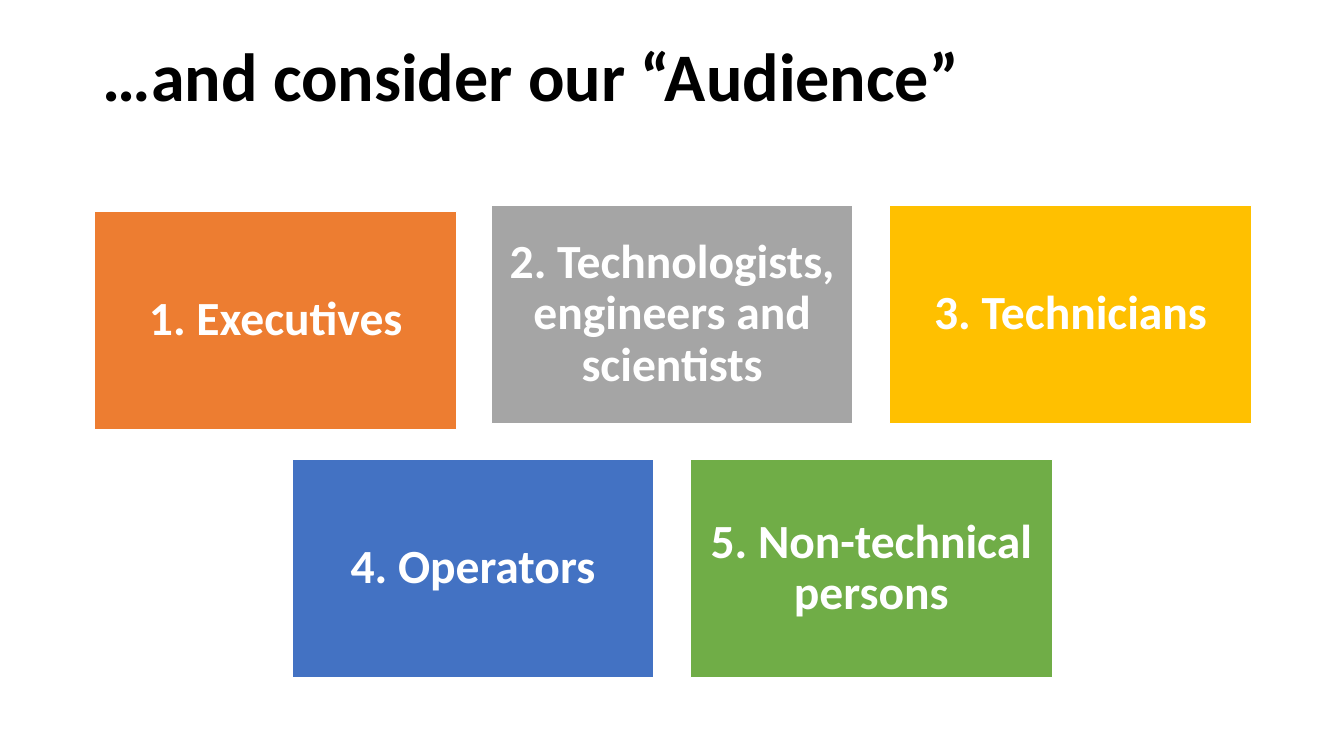
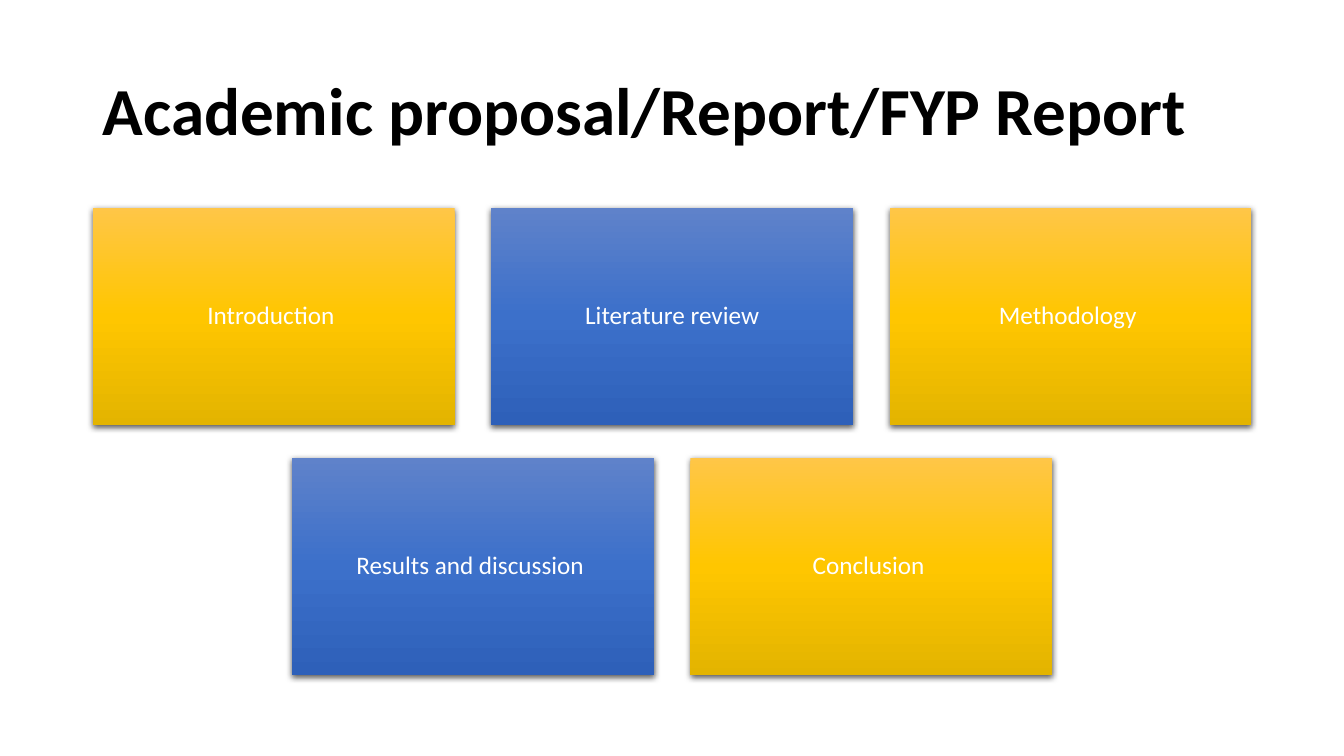
"""Build two slides, each with a title above five tiles."""
from copy import deepcopy

from lxml import etree
from pptx import Presentation
from pptx import util as u
from pptx.dml.color import RGBColor
from pptx.enum import shapes, text
from pptx.oxml import ns

FONT = "Calibri"
BLACK = RGBColor(0x00, 0x00, 0x00)
WHITE = RGBColor(0xFF, 0xFF, 0xFF)
ORANGE = RGBColor(0xED, 0x7D, 0x31)
GRAY = RGBColor(0xA5, 0xA5, 0xA5)
GOLD = RGBColor(0xFF, 0xC0, 0x00)
BLUE = RGBColor(0x43, 0x72, 0xC3)
GREEN = RGBColor(0x70, 0xAD, 0x47)
AMBER = (RGBColor(0xFF, 0xC6, 0x47), RGBColor(0xFF, 0xC6, 0x00), RGBColor(0xE3, 0xB4, 0x00))
AZURE = (RGBColor(0x5F, 0x82, 0xCA), RGBColor(0x3C, 0x70, 0xCA), RGBColor(0x2E, 0x60, 0xB9))

LEFT, PITCH = 2.34, 10.04
WIDE, HIGH = 9.12, 5.49
GRID = [(0, 0), (1, 0), (2, 0), (0.5, 1), (1.5, 1)]


def write(shape, words, size, color, bold, space, align, pad):
    """Put one styled run of words, centred vertically, in a shape."""
    frame = shape.text_frame
    frame.word_wrap = True
    frame.vertical_anchor = text.MSO_ANCHOR.MIDDLE
    frame.margin_left = frame.margin_right = u.Cm(pad[0])
    frame.margin_top = frame.margin_bottom = u.Cm(pad[1])
    para = frame.paragraphs[0]
    para.alignment = align
    para.line_spacing = space
    run = para.add_run()
    run.text = words
    run.font.name = FONT
    run.font.size = u.Pt(size)
    run.font.bold = bold
    run.font.color.rgb = color


def shade(tile, colors):
    """Give a tile a downward three-colour gradient and a soft shadow."""
    tile.fill.gradient()
    tile.fill.gradient_angle = 270
    props = tile.fill._xPr
    stops = props.find(".//" + ns.qn("a:gsLst"))
    stops.insert(1, deepcopy(stops[0]))
    for stop, place, color in zip(tile.fill.gradient_stops, (0, 0.5, 1), colors):
        stop.position = place
        stop.color.rgb = color
    glow = etree.SubElement(props.find(ns.qn("a:effectLst")), ns.qn("a:outerShdw"),
                            blurRad=str(u.Pt(4.5)), dist=str(u.Pt(1.5)),
                            dir="5400000", algn="ctr", rotWithShape="0")
    tint = etree.SubElement(glow, ns.qn("a:srgbClr"), val=str(BLACK))
    etree.SubElement(tint, ns.qn("a:alpha"), val="63000")


DECK = [
    dict(title="…and consider our “Audience”", size=48.6, high=1.98,
         top=5.18, step=6.4, font=34, bold=True, space=0.9, pad=(0.36, 0.36),
         tiles=[("1. Executives", ORANGE),
                ("2. Technologists, engineers and scientists", GRAY),
                ("3. Technicians", GOLD),
                ("4. Operators", BLUE),
                ("5. Non-technical persons", GREEN)],
         shift={0: (0.05, 0.15)}),
    dict(title="Academic proposal/Report/FYP Report", size=48, high=3.68,
         top=5.23, step=6.3, font=18, bold=False, space=0.85, pad=(0.25, 0.13),
         tiles=[("Introduction ", AMBER),
                ("Literature review", AZURE),
                ("Methodology ", AMBER),
                ("Results and discussion ", AZURE),
                ("Conclusion ", AMBER)],
         shift={}),
]

deck = Presentation()
deck.slide_width, deck.slide_height = u.Cm(33.87), u.Cm(19.05)

for page in DECK:
    slide = deck.slides.add_slide(deck.slide_layouts[6])
    title = slide.shapes.add_textbox(u.Cm(LEFT), u.Cm(1.02), u.Cm(29.21), u.Cm(page["high"]))
    write(title, page["title"], page["size"], BLACK, True, 0.9,
          text.PP_ALIGN.LEFT, (0.25, 0.13))

    for at, ((col, row), (words, paint)) in enumerate(zip(GRID, page["tiles"])):
        right, down = page["shift"].get(at, (0, 0))
        tile = slide.shapes.add_shape(
            shapes.MSO_SHAPE.RECTANGLE,
            u.Cm(LEFT + col * PITCH + right),
            u.Cm(page["top"] + row * page["step"] + down),
            u.Cm(WIDE), u.Cm(HIGH))
        tile.shadow.inherit = False
        if isinstance(paint, RGBColor):
            tile.fill.solid()
            tile.fill.fore_color.rgb = paint
            tile.line.color.rgb = WHITE
            tile.line.width = u.Pt(1)
        else:
            tile.line.fill.background()
            shade(tile, paint)
        write(tile, words, page["font"], WHITE, page["bold"], page["space"],
              text.PP_ALIGN.CENTER, page["pad"])

deck.save("out.pptx")
